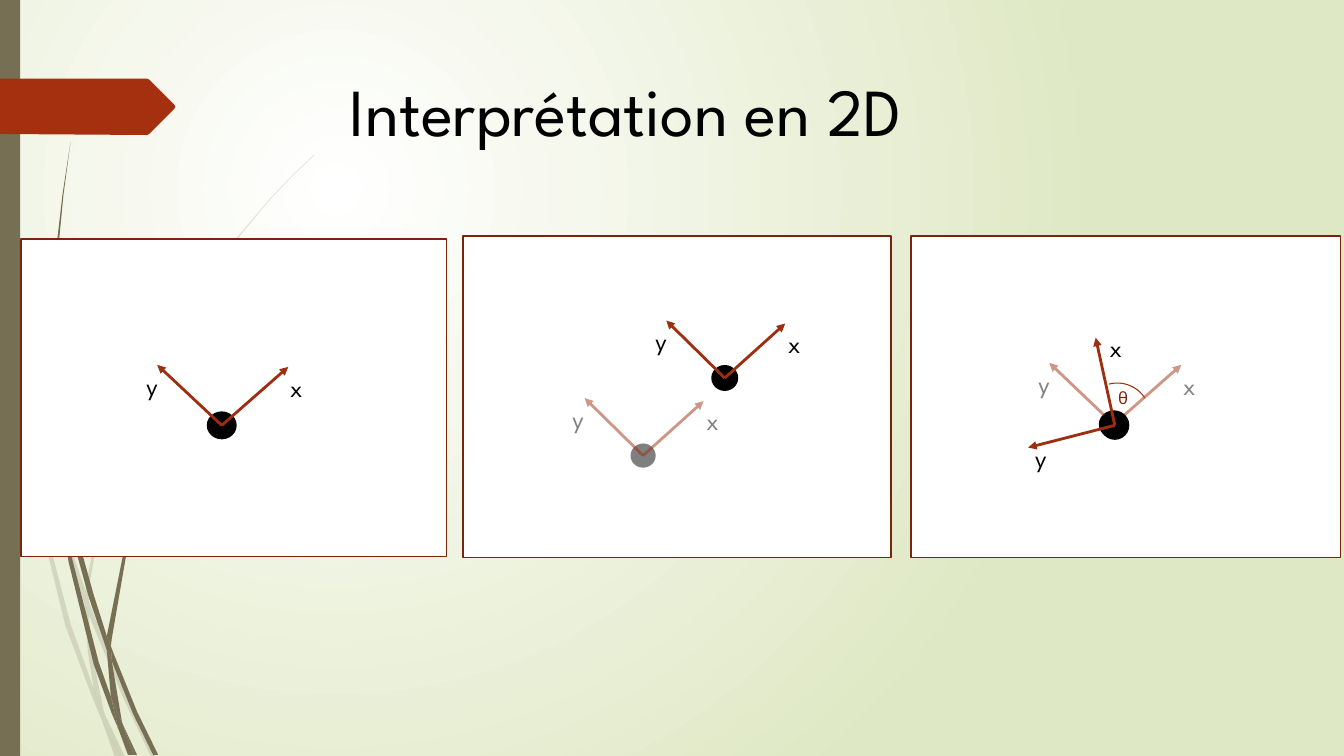
from dataclasses import dataclass

from lxml import etree
from pptx import Presentation
from pptx.dml.color import RGBColor
from pptx.enum.shapes import MSO_CONNECTOR, MSO_SHAPE
from pptx.enum.text import MSO_ANCHOR, MSO_AUTO_SIZE, PP_ALIGN
from pptx.oxml.ns import qn
from pptx.util import Pt

STRAIGHT = MSO_CONNECTOR.STRAIGHT
RECTANGLE, OVAL, ARC = MSO_SHAPE.RECTANGLE, MSO_SHAPE.OVAL, MSO_SHAPE.ARC
TOP, LEFT = MSO_ANCHOR.TOP, PP_ALIGN.LEFT
FIT_SHAPE = MSO_AUTO_SIZE.SHAPE_TO_FIT_TEXT

WHITE = RGBColor(0xFF, 0xFF, 0xFF)
BLACK = RGBColor(0x00, 0x00, 0x00)
GREY = RGBColor(0x80, 0x80, 0x80)
PALE_GREEN = RGBColor(0xDF, 0xE8, 0xC4)
OLIVE = RGBColor(0x76, 0x6F, 0x54)
RUST = RGBColor(0xA5, 0x30, 0x10)
ARROW_RED = RGBColor(0x9E, 0x2E, 0x0F)
FRAME_RED = RGBColor(0x7A, 0x24, 0x0C)
THETA_RED = RGBColor(0x7C, 0x24, 0x0C)

FONT = "League Spartan"
GRID = Pt(0.72)

Point = tuple[float, float]
Box = tuple[float, float, float, float]
Outline = list[tuple[int, int]]


@dataclass
class Axis:
    name: str
    tip: Point
    label: Box


@dataclass
class Frame:
    origin: Point
    ball: Point
    axes: tuple[Axis, Axis]
    faded: bool = False
    faded_ball: bool = False


FAINT_STRANDS: list[Outline] = [
    [(58, 522), (84, 599), (85, 586), (62, 520), (14, 345), (17, 376)],
    [(92, 607), (88, 596), (88, 610), (123, 694), (150, 751), (155, 751), (127, 692)],
    [(119, 751), (124, 751), (105, 711)],
    [(93, 683), (70, 619), (31, 469), (17, 376), (11, 350), (28, 470), (65, 621),
     (92, 693), (101, 714), (99, 707)],
    [(84, 599), (87, 646), (93, 683), (96, 692), (105, 711), (103, 706), (91, 646),
     (88, 610), (88, 608)],
    [(88, 584), (110, 462), (160, 349), (229, 245), (268, 198), (290, 175), (312, 154),
     (312, 153), (289, 175), (268, 197), (228, 244), (158, 348), (107, 461), (85, 584),
     (85, 586), (88, 596)],
    [(101, 714), (114, 751), (119, 751)],
    [(88, 608), (88, 610), (88, 596), (85, 586), (84, 599)],
    [(96, 692), (93, 683), (99, 707), (101, 714), (119, 751), (105, 711)],
]
DARK_STRANDS: list[Outline] = [
    [(88, 592), (106, 645), (106, 633), (106, 631), (93, 590), (60, 472), (64, 505)],
    [(113, 649), (110, 641), (111, 656), (132, 708), (152, 749), (157, 749), (136, 706)],
    [(110, 691), (98, 657), (72, 556), (64, 505), (57, 477), (68, 557), (93, 659),
     (111, 708), (117, 722), (116, 717)],
    [(60, 472), (58, 453), (54, 349), (58, 245), (63, 193), (70, 141), (62, 193),
     (56, 245), (52, 349), (55, 449)],
    [(133, 749), (136, 749), (122, 719)],
    [(111, 633), (125, 552), (158, 476), (205, 406), (231, 374), (245, 359), (261, 344),
     (260, 344), (245, 358), (231, 373), (204, 405), (156, 474), (122, 551), (106, 631),
     (110, 641)],
    [(117, 722), (127, 749), (131, 749)],
    [(106, 645), (110, 691), (116, 706), (122, 719), (121, 716), (111, 656), (109, 651)],
    [(106, 645), (109, 651), (111, 656), (110, 641), (106, 631), (106, 633)],
    [(116, 706), (110, 691), (116, 717), (117, 722), (130, 749), (133, 749), (122, 719)],
]
BANNER: Outline = [(0, 78), (146, 78), (148, 79), (173, 104), (174, 106), (173, 108),
                   (148, 133), (146, 134), (0, 133)]

PANELS: list[Box] = [(15.12, 170.64, 303.84, 226.8), (330.48, 168.48, 306, 229.68),
                     (650.88, 168.48, 306.72, 229.68)]
FRAMES = [
    Frame((158.4, 303.84), (20.16, 18.72), (
        Axis("x", (47.52, -41.76), (41.76, -41.76, 16.56, 20.88)),
        Axis("y", (-46.08, -43.2), (-57.6, -43.2, 10.8, 20.88)))),
    Frame((459.36, 325.44), (18, 17.28), (
        Axis("x", (43.2, -38.88), (38.16, -39.6, 15.12, 28.8)),
        Axis("y", (-41.76, -41.04), (-57.6, -41.04, 20.88, 28.8))), True, True),
    Frame((517.68, 270), (18, 17.28), (
        Axis("x", (43.2, -38.88), (38.16, -38.88, 15.12, 19.44)),
        Axis("y", (-41.76, -41.04), (-52.56, -41.04, 10.08, 19.44)))),
    Frame((795.6, 303.12), (20.16, 18.72), (
        Axis("x", (48.24, -42.48), (42.48, -42.48, 16.56, 31.68)),
        Axis("y", (-46.08, -43.92), (-57.6, -43.92, 10.8, 31.68))), True),
    Frame((796.32, 303.84), (19.44, 19.44), (
        Axis("x", (-13.68, -62.64), (-10.8, -69.84, 16.56, 21.6)),
        Axis("y", (-61.92, 15.84), (-64.08, 8.64, 14.4, 31.68)))),
]


def set_alpha(shape, percent: int) -> None:
    for color in shape.element.spPr.iter(qn("a:srgbClr")):
        etree.SubElement(color, qn("a:alpha"), val=str(percent * 1000))


def paint_background(page) -> None:
    fill = page.background.fill
    fill.gradient()
    for stop, color in zip(fill.gradient_stops, (WHITE, PALE_GREEN)):
        stop.color.rgb = color
    linear = page.element.find(".//" + qn("a:lin"))
    circle = etree.Element(qn("a:path"), path="circle")
    etree.SubElement(circle, qn("a:fillToRect"), l="50000", t="50000", r="100000", b="100000")
    linear.getparent().replace(linear, circle)


def draw_outline(page, outline: Outline, color: RGBColor, alpha: int = 100) -> None:
    builder = page.shapes.build_freeform(*outline[0], scale=GRID)
    builder.add_line_segments(outline[1:], close=True)
    shape = builder.convert_to_shape()
    shape.shadow.inherit = False
    shape.fill.solid()
    shape.fill.fore_color.rgb = color
    shape.line.fill.background()
    if alpha < 100:
        set_alpha(shape, alpha)


def draw_shape(page, kind, box: Box, fill: RGBColor | None, line: RGBColor | None,
               width: float = 1.25):
    shape = page.shapes.add_shape(kind, *map(Pt, box))
    shape.shadow.inherit = False
    if fill is None:
        shape.fill.background()
    else:
        shape.fill.solid()
        shape.fill.fore_color.rgb = fill
    if line is None:
        shape.line.fill.background()
    else:
        shape.line.color.rgb = line
        shape.line.width = Pt(width)
    return shape


def write(box, text: str, size: float, color: RGBColor) -> None:
    frame = box.text_frame
    frame.word_wrap = True
    frame.auto_size = FIT_SHAPE
    frame.vertical_anchor = TOP
    para = frame.paragraphs[0]
    para.alignment = LEFT
    span = para.add_run()
    span.text = text
    span.font.name = FONT
    span.font.size = Pt(size)
    span.font.color.rgb = color


def draw_label(page, text: str, box: Box, size: float, color: RGBColor) -> None:
    write(page.shapes.add_textbox(*map(Pt, box)), text, size, color)


def draw_arrow(page, start: Point, end: Point, faded: bool) -> None:
    arrow = page.shapes.add_connector(STRAIGHT, *map(Pt, start + end))
    arrow.line.color.rgb = ARROW_RED
    arrow.line.width = Pt(2)
    etree.SubElement(arrow.element.spPr.find(qn("a:ln")), qn("a:tailEnd"), type="triangle")
    etree.SubElement(arrow.element.spPr, qn("a:effectLst"))
    if faded:
        set_alpha(arrow, 50)


def draw_frame(page, frame: Frame) -> None:
    x, y = frame.origin
    width, height = frame.ball
    ball = draw_shape(page, OVAL, (x - width / 2, y - height / 2, width, height),
                      BLACK, None if frame.faded_ball else BLACK)
    if frame.faded_ball:
        set_alpha(ball, 50)
    for axis in frame.axes:
        draw_arrow(page, frame.origin, (x + axis.tip[0], y + axis.tip[1]), frame.faded)
    for axis in frame.axes:
        left, top, label_width, label_height = axis.label
        draw_label(page, axis.name, (x + left, y + top, label_width, label_height),
                   18, GREY if frame.faded else BLACK)


def main() -> None:
    deck = Presentation()
    deck.slide_width, deck.slide_height = Pt(960), Pt(540)
    page = deck.slides.add_slide(deck.slide_layouts[5])
    paint_background(page)
    title = page.shapes.title
    title.left, title.top, title.width, title.height = map(Pt, (242.64, 46.08, 582.48, 65.52))
    write(title, "Interprétation en 2D", 48, BLACK)

    for strand in FAINT_STRANDS:
        draw_outline(page, strand, OLIVE, 20)
    for strand in DARK_STRANDS:
        draw_outline(page, strand, OLIVE)
    draw_shape(page, RECTANGLE, (0, 0, 14.4, 540), OLIVE, None)
    draw_outline(page, BANNER, RUST)

    for panel in PANELS:
        draw_shape(page, RECTANGLE, panel, WHITE, FRAME_RED)
    for frame in FRAMES:
        draw_frame(page, frame)
    angle = draw_shape(page, ARC, (774.72, 273.6, 46.8, 46.8), None, ARROW_RED, 0.75)
    angle.adjustments[0], angle.adjustments[1] = 173.11, 0
    angle.rotation = 326.6
    draw_label(page, "θ", (792, 273.6, 13.68, 23.76), 12, THETA_RED)
    deck.save("out.pptx")


if __name__ == "__main__":
    main()
